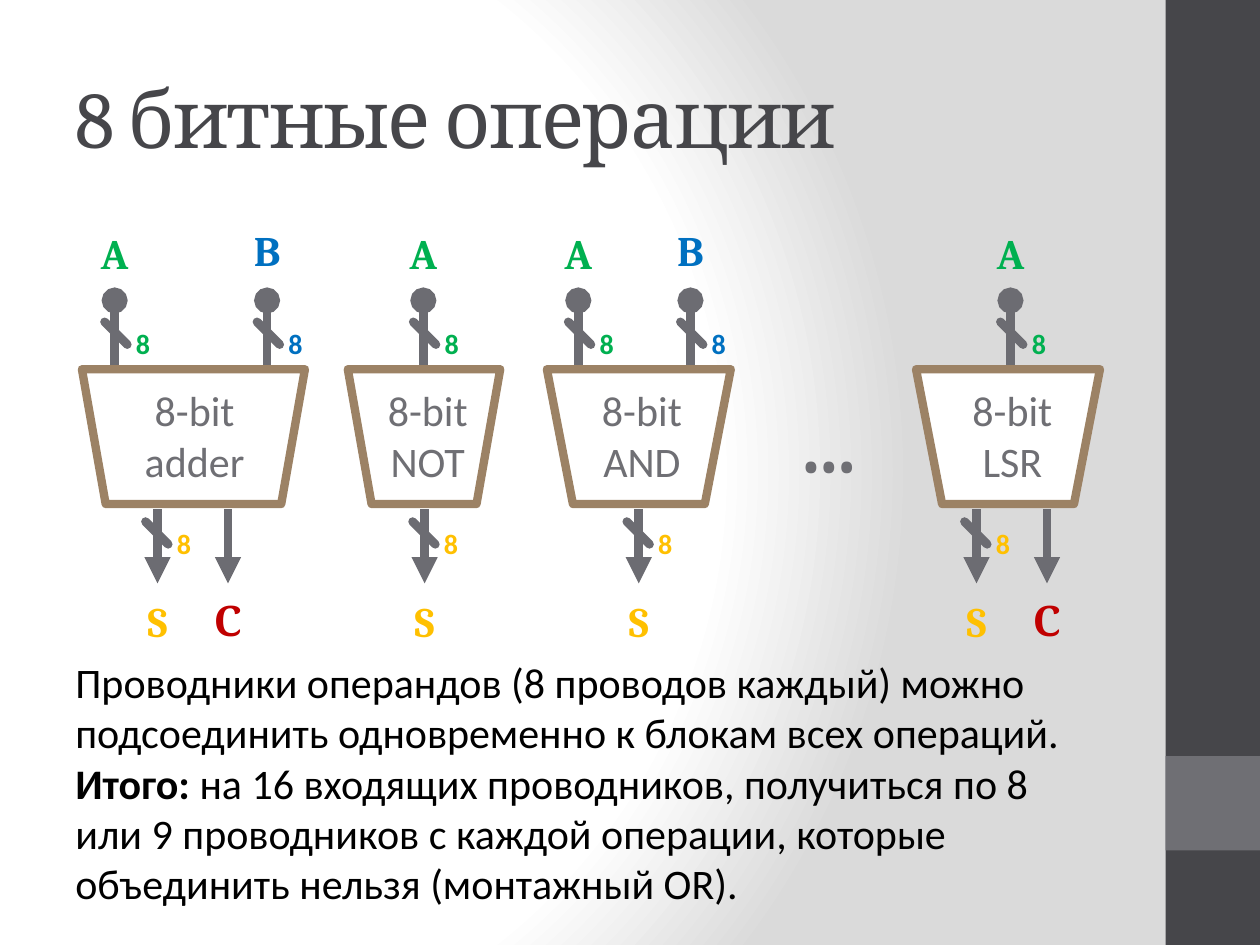
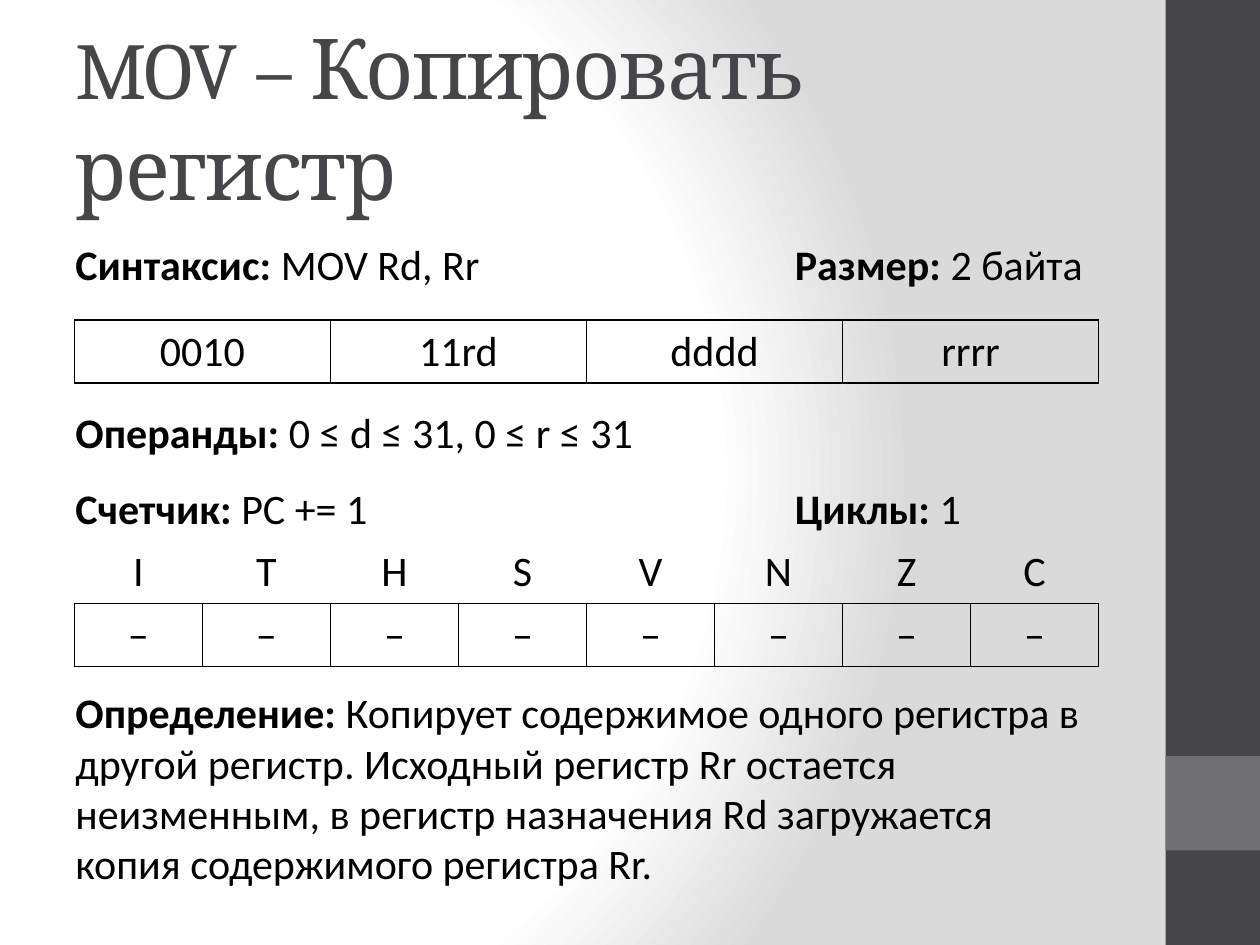
from pptx import Presentation
from pptx.dml.color import RGBColor
from pptx.enum.shapes import MSO_CONNECTOR, MSO_SHAPE
from pptx.enum.text import MSO_ANCHOR, MSO_AUTO_SIZE, PP_ALIGN
from pptx.oxml import parse_xml
from pptx.oxml.ns import nsdecls, qn
from pptx.oxml.xmlchemy import OxmlElement
from pptx.util import Inches, Pt

STRAIGHT = MSO_CONNECTOR.STRAIGHT
RECTANGLE, TRAPEZOID = MSO_SHAPE.RECTANGLE, MSO_SHAPE.TRAPEZOID
TOP, MIDDLE = MSO_ANCHOR.TOP, MSO_ANCHOR.MIDDLE
GROW = MSO_AUTO_SIZE.SHAPE_TO_FIT_TEXT
LEFT, CENTER = PP_ALIGN.LEFT, PP_ALIGN.CENTER

COLUMNS, ROWS = 100, 75
HEADING_FONT, BODY_FONT = "Cambria", "Calibri"
COLORS = {
    "white": "FFFFFF",
    "shade": "DADADA",
    "black": "000000",
    "dark": "46464A",
    "gray": "6F6F74",
    "wire": "6C6C72",
    "frame": "9C8265",
    "green": "00B050",
    "blue": "0070C0",
    "yellow": "FFC000",
    "red": "C00000",
}
# letter: (color, top row)
INPUTS = {"A": ("green", 18.5), "B": ("blue", 18.25)}
OUTPUTS = {"S": ("yellow", 47.75), "С": ("red", 47.65)}
BOLD = {"bold": True}
MARGIN, TEXT_WIDTH, RIGHT_COLUMN = 5, 83.3, 62.1
TABLE_LEFT, TABLE_WIDTH, TABLE_ROW = 5.9, 81.3, 5


def rgb(name):
    return RGBColor.from_string(COLORS[name])


class Deck:
    """Holds the style and the current page; lengths are grid columns and rows."""

    def __init__(self):
        self.file = Presentation()
        self.file.slide_width, self.file.slide_height = Inches(10), Inches(7.5)
        self.column = self.file.slide_width / COLUMNS
        self.row = self.file.slide_height / ROWS
        self.page = self.shapes = None
        self.paint_background()

    def paint_background(self):
        master = self.file.slide_master
        master.background.fill.solid()
        stops = "".join(
            f'<a:gs pos="{place}000"><a:srgbClr val="{COLORS[name]}"/></a:gs>'
            for place, name in ((0, "white"), (75, "white"), (100, "shade")))
        gradient = parse_xml(
            f'<a:gradFill {nsdecls("a")} rotWithShape="1"><a:gsLst>{stops}</a:gsLst>'
            '<a:path path="circle"><a:fillToRect l="20000" t="50000" r="100000" b="50000"/>'
            '</a:path></a:gradFill>')
        properties = master.element.find(".//" + qn("p:bgPr"))
        properties.replace(properties[0], gradient)

    def place(self, left, top, width, height):
        return (round(left * self.column), round(top * self.row),
                round(width * self.column), round(height * self.row))

    def new_page(self, *title_spans):
        self.page = self.file.slides.add_slide(self.file.slide_layouts[6])
        self.shapes = self.page.shapes
        self.shape(RECTANGLE, 92.5, 0, 7.5, ROWS, "dark")
        self.shape(RECTANGLE, 92.5, 60, 7.5, 7.5, "gray")
        self.text(MARGIN, 3, TEXT_WIDTH, 12.5, title_spans, size=46, color="dark",
                  font=HEADING_FONT, anchor=MIDDLE)

    def start_group(self):
        self.shapes = self.page.shapes.add_group_shape().shapes

    def end_group(self):
        self.shapes = self.page.shapes

    def shape(self, kind, left, top, width, height, fill, line=None):
        shape = self.shapes.add_shape(kind, *self.place(left, top, width, height))
        shape.shadow.inherit = False
        shape.fill.solid()
        shape.fill.fore_color.rgb = rgb(fill)
        if line:
            shape.line.color.rgb = rgb(line)
            shape.line.width = Pt(4.75)
        else:
            shape.line.fill.background()
        return shape

    def style(self, para, size, color, font=BODY_FONT, bold=False, align=LEFT):
        para.alignment = align
        para.font.size, para.font.name, para.font.bold = Pt(size), font, bold
        para.font.color.rgb = rgb(color)

    def text(self, left, top, width, height, spans, size=24, color="black",
             font=BODY_FONT, bold=False, align=LEFT, anchor=TOP, wrap=True):
        """Spans are (text, font overrides) pairs of one paragraph."""
        box = self.shapes.add_textbox(*self.place(left, top, width, height))
        frame = box.text_frame
        frame.word_wrap, frame.vertical_anchor = wrap, anchor
        if anchor == TOP:
            frame.auto_size = GROW
        para = frame.paragraphs[0]
        self.style(para, size, color, font, bold, align)
        for words, overrides in spans:
            span = para.add_run()
            span.text = words
            for name, value in overrides.items():
                setattr(span.font, name, value)
            if font == HEADING_FONT:
                span._r.get_or_add_rPr().set("spc", "-100")

    def fact(self, left, top, label, value, width=TEXT_WIDTH, height=5, wrap=True):
        """A bold label followed by its value."""
        self.text(left, top, width, height, [(label, BOLD), (value, {})], wrap=wrap)

    def symbol(self, center, top, letter, color, size=24, width=6.6, height=3.1):
        self.text(center - width / 2, top, width, height, [(letter, {})], size, color,
                  HEADING_FONT, bold=True, align=CENTER, anchor=MIDDLE)

    def line(self, start, end, tail=None):
        ends = [round(value * unit) for point in (start, end)
                for value, unit in zip(point, (self.column, self.row))]
        wire = self.shapes.add_connector(STRAIGHT, *ends)
        wire.line.color.rgb = rgb("wire")
        wire.line.width = Pt(5)
        properties = wire._element.spPr
        outline = properties.find(qn("a:ln"))
        if tail:
            mark = OxmlElement("a:tailEnd")
            mark.set("type", tail)
            outline.append(mark)
        else:
            outline.set("cap", "rnd")
        properties.append(OxmlElement("a:effectLst"))

    def bus_mark(self, left, top, color):
        """A slash across a wire with the number of its conductors."""
        self.line((left, top), (left + 1.8, top + 1.8))
        self.text(left + 1.5, top - 0.1, 3.2, 3.7, [("8", {})], 16, color,
                  bold=True, wrap=False)

    def operation(self, name, left, width, slant, label_left, inputs, outputs):
        """A block with its wires; inputs and outputs are (letter, column) pairs."""
        self.start_group()
        for letter, x in inputs:
            color, top = INPUTS[letter]
            self.line((x, 29), (x, 23.85), "oval")
            self.symbol(x, top, letter, color, width=6.3)
            self.bus_mark(x - 0.8, 25.55, color)
        for letter, x in outputs:
            color, top = OUTPUTS[letter]
            self.line((x, 40.4), (x, 46.3), "triangle")
            self.symbol(x, top, letter, color, height=3)
            if letter == "S":
                self.bus_mark(x - 0.95, 41.4, color)
        block = self.shape(TRAPEZOID, left, 29.3, width, 10.7, "white", "frame")
        block.rotation = 180
        block.adjustments[0] = slant
        self.text(label_left, 30.05, 12.3, 9.1, [(f"8-bit {name}", {})], color="gray",
                  align=CENTER)
        self.end_group()

    def table(self, top, rows, bordered_sides):
        """Sides (of L, R, T, B) with a border are given for each row."""
        place = self.place(TABLE_LEFT, top, TABLE_WIDTH, TABLE_ROW * len(rows))
        table = self.shapes.add_table(len(rows), len(rows[0]), *place).table
        table.first_row = table.horz_banding = False
        for r, (values, sides) in enumerate(zip(rows, bordered_sides)):
            for c, value in enumerate(values):
                cell = table.cell(r, c)
                cell.text = value
                self.style(cell.text_frame.paragraphs[0], 24, "black", align=CENTER)
                self.borders(cell, sides)
                cell.fill.background()

    def borders(self, cell, sides):
        properties = cell._tc.get_or_add_tcPr()
        for side in "LRTB":
            fill = (f'<a:solidFill><a:srgbClr val="{COLORS["black"]}"/></a:solidFill>'
                    if side in sides else "<a:noFill/>")
            properties.append(parse_xml(
                f'<a:ln{side} {nsdecls("a")} w="{Pt(1)}">{fill}</a:ln{side}>'))


def operations_page(deck):
    deck.new_page(("8 битные операции", {}))
    deck.text(MARGIN, 51.6, TEXT_WIDTH, 21.2, [
        ("Проводники операндов (8 проводов каждый) можно подсоединить "
         "одновременно к блокам всех операций. ", {}),
        ("Итого: ", BOLD),
        ("на 16 входящих проводников, получиться по 8 или 9 проводников с каждой "
         "операции, которые объединить нельзя (монтажный OR).", {}),
    ])
    deck.operation("adder", 6.5, 17.7, 0.176, 9.3,
                   [("A", 9.1), ("B", 21.2)], [("S", 12.5), ("С", 18.1)])
    deck.operation("NOT", 27.6, 12.1, 0.176, 27.8, [("A", 33.6)], [("S", 33.7)])
    deck.operation("AND", 43.4, 14.6, 0.193, 44.8,
                   [("A", 45.9), ("B", 54.8)], [("S", 50.7)])
    deck.operation("LSR", 72.7, 14.6, 0.193, 74.2,
                   [("A", 80.2)], [("S", 77.5), ("С", 83.1)])
    deck.symbol(65.8, 33, "…", "gray", size=44, width=6.8, height=4.2)


def mov_page(deck):
    deck.new_page(("MOV ", {}), ("– Копировать регистр", {"size": Pt(48)}))
    deck.fact(MARGIN, 54, "Определение: ",
              "Копирует содержимое одного регистра в другой регистр. Исходный регистр "
              "Rr остается неизменным, в регистр назначения Rd загружается копия "
              "содержимого регистра Rr.", height=17.2)
    deck.fact(MARGIN, 18.4, "Синтаксис: ", "MOV Rd, Rr", 34.2, wrap=False)
    deck.fact(RIGHT_COLUMN, 18.4, "Размер: ", "2 байта", 25.1, wrap=False)
    deck.table(25.4, [["0010", "11rd", "dddd", "rrrr"]], ["LRTB"])
    deck.fact(MARGIN, 31.8, "Операнды: ", "0 ≤ d ≤ 31, 0 ≤ r ≤ 31")
    deck.fact(MARGIN, 37.8, "Счетчик: ", "PC += 1", 26.2, wrap=False)
    deck.fact(RIGHT_COLUMN, 37.8, "Циклы: ", "1", 15.3, wrap=False)
    flags = "ITHSVNZC"
    deck.table(42.9, [flags, "–" * len(flags)], ["B", "LRTB"])


def main():
    deck = Deck()
    operations_page(deck)
    mov_page(deck)
    deck.file.save("out.pptx")


if __name__ == "__main__":
    main()
